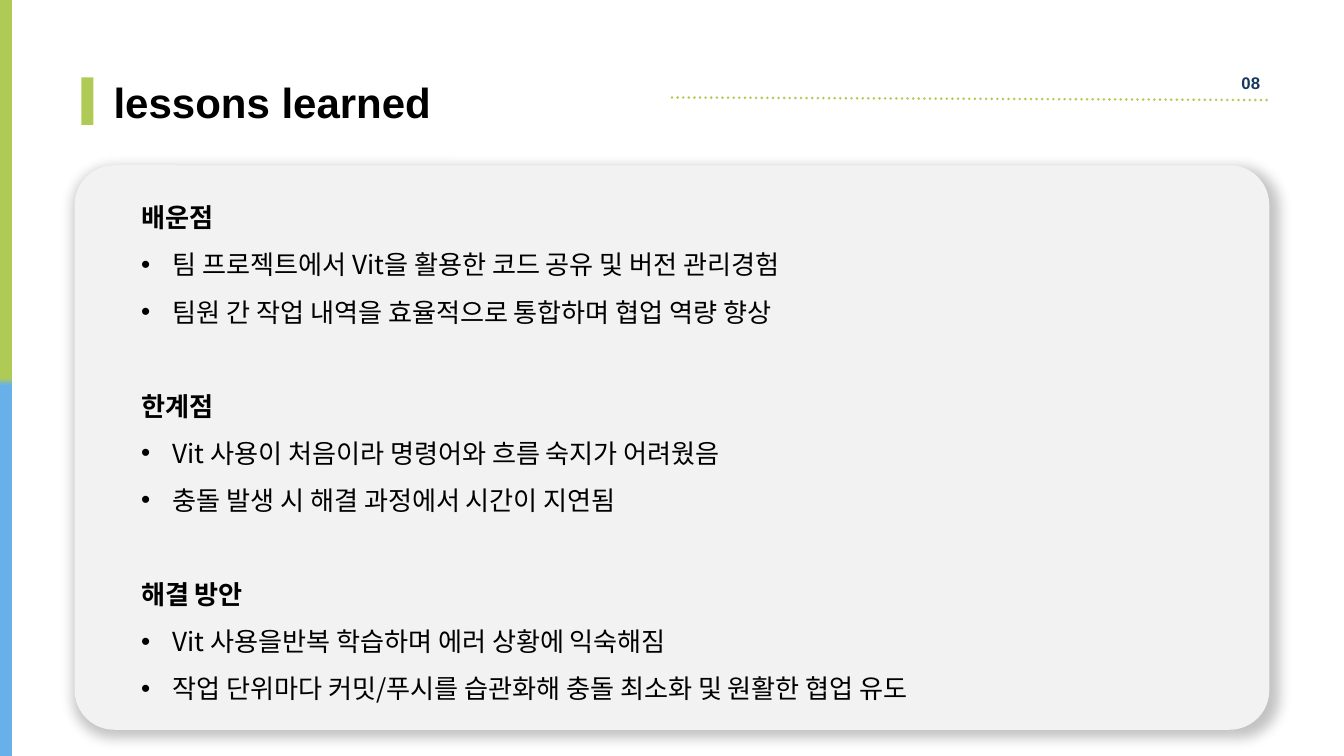
from lxml import etree
from pptx import Presentation
from pptx import util as u
from pptx.dml.color import RGBColor
from pptx.enum import dml, shapes, text
from pptx.oxml.ns import qn

W, H = 20, 11.25
LATIN, KOREAN = "Arial", "Noto Sans CJK KR"
GREEN, BLUE, NAVY, GRAY, BLACK = "B0CB55", "67B0EA", "17375E", "F2F2F2", "000000"
TITLE, NUMBER = "lessons learned", "08"
SECTIONS = [
    ("배운점", ["팀 프로젝트에서 Vit을 활용한 코드 공유 및 버전 관리경험",
              "팀원 간 작업 내역을 효율적으로 통합하며 협업 역량 향상"]),
    ("한계점", ["Vit 사용이 처음이라 명령어와 흐름 숙지가 어려웠음",
              "충돌 발생 시 해결 과정에서 시간이 지연됨"]),
    ("해결 방안", ["Vit 사용을반복 학습하며 에러 상황에 익숙해짐",
                "작업 단위마다 커밋/푸시를 습관화해 충돌 최소화 및 원활한 협업 유도"]),
]
BODY_SIZE, SPACING, INDENT = 28, 1.5, 0.47
BAR_W = 0.18
CARD_X, CARD_Y, CARD_H = W / 18, 2.46, 8.4
CARD_W = W - 2 * CARD_X
CARD_RIGHT = CARD_X + CARD_W


def rgb(color):
    return RGBColor.from_string(color)


def inches(*values):
    return [u.Inches(v) for v in values]


def add_box(slide, kind, box, fill=None, corner=None):
    sp = slide.shapes.add_shape(kind, *inches(*box))
    sp.shadow.inherit = False
    sp.line.fill.background()
    if corner is not None:
        sp.adjustments[0] = corner
    if fill:
        sp.fill.solid()
        sp.fill.fore_color.rgb = rgb(fill)
    return sp


def add_text(slide, box):
    sp = slide.shapes.add_textbox(*inches(*box))
    tf = sp.text_frame
    tf.word_wrap = True
    tf.auto_size = text.MSO_AUTO_SIZE.SHAPE_TO_FIT_TEXT
    return tf


def add_run(p, content, size, font, color=BLACK, bold=True):
    r = p.add_run()
    r.text = content
    r.font.size, r.font.bold, r.font.name = u.Pt(size), bold, font
    r.font.color.rgb = rgb(color)
    etree.SubElement(r.font._element, qn("a:ea"), typeface=font)


def add_shadow(sp):
    effects = sp._element.spPr.find(qn("a:effectLst"))
    shadow = etree.SubElement(
        effects, qn("a:outerShdw"), blurRad=str(u.Pt(13)), dist=str(u.Pt(3)),
        dir=str(120 * 60000), sx="101000", sy="101000", algn="tl", rotWithShape="0")
    color = etree.SubElement(shadow, qn("a:srgbClr"), val=BLACK)
    etree.SubElement(color, qn("a:alpha"), val="23000")


def add_bullet(p):
    pPr = p._p.get_or_add_pPr()
    pPr.set("marL", str(u.Inches(INDENT)))
    pPr.set("indent", str(-u.Inches(INDENT)))
    etree.SubElement(pPr, qn("a:buFont"), typeface=LATIN)
    etree.SubElement(pPr, qn("a:buChar"), char="•")


def add_side_bar(slide):
    sp = add_box(slide, shapes.MSO_SHAPE.ROUNDED_RECTANGLE, (0, 0, BAR_W, H), corner=0)
    sp.fill.gradient()
    sp.fill.gradient_angle = 270
    stops = zip(sp.fill.gradient_stops, ((0.5, GREEN), (0.51, BLUE)))
    for stop, (position, color) in stops:
        stop.position, stop.color.rgb = position, rgb(color)


def add_header(slide):
    add_box(slide, shapes.MSO_SHAPE.RECTANGLE, (1.21, 1.15, BAR_W, 0.71), GREEN)
    sp = slide.shapes.title
    sp.left, sp.top, sp.width, sp.height = inches(1.69, 1.08, W / 2 - 1.69, 0.82)
    tf = sp.text_frame
    tf.margin_left = tf.margin_top = tf.margin_right = tf.margin_bottom = 0
    tf.vertical_anchor = text.MSO_ANCHOR.TOP
    tf.auto_size = text.MSO_AUTO_SIZE.SHAPE_TO_FIT_TEXT
    p = tf.paragraphs[0]
    p.alignment, p.line_spacing = text.PP_ALIGN.LEFT, u.Pt(58.5)
    add_run(p, TITLE, 45, LATIN)

    line = slide.shapes.add_connector(
        shapes.MSO_CONNECTOR.STRAIGHT, *inches(W / 2, 1.45, CARD_RIGHT, 1.49))
    line.line.color.rgb, line.line.width = rgb(GREEN), u.Pt(3)
    line.line.dash_style = dml.MSO_LINE.ROUND_DOT
    line._element.spPr.find(qn("a:ln")).set("cap", "rnd")
    etree.SubElement(line._element.spPr, qn("a:effectLst"))

    p = add_text(slide, (18.31, 1.04, 0.54, 0.4)).paragraphs[0]
    p.alignment = text.PP_ALIGN.RIGHT
    add_run(p, NUMBER, 18, LATIN, NAVY)


def add_lessons(slide):
    tf = add_text(slide, (W / 10, 2.72, 15.25, 7.88))
    for i, (heading, points) in enumerate(SECTIONS):
        p = tf.add_paragraph() if i else tf.paragraphs[0]
        p.line_spacing = SPACING
        if i:
            p.space_before = u.Pt(BODY_SIZE * SPACING * 1.2)
        add_run(p, heading, BODY_SIZE, KOREAN)
        for point in points:
            p = tf.add_paragraph()
            p.line_spacing = SPACING
            add_bullet(p)
            add_run(p, point, BODY_SIZE, KOREAN, bold=False)


def main():
    """Build the lessons-learned slide."""
    prs = Presentation()
    prs.slide_width, prs.slide_height = inches(W, H)
    slide = prs.slides.add_slide(prs.slide_layouts[5])
    card = add_box(slide, shapes.MSO_SHAPE.ROUNDED_RECTANGLE,
                   (CARD_X, CARD_Y, CARD_W, CARD_H), GRAY, 0.07)
    add_shadow(card)
    add_header(slide)
    add_side_bar(slide)
    add_lessons(slide)
    prs.save("out.pptx")


if __name__ == "__main__":
    main()
